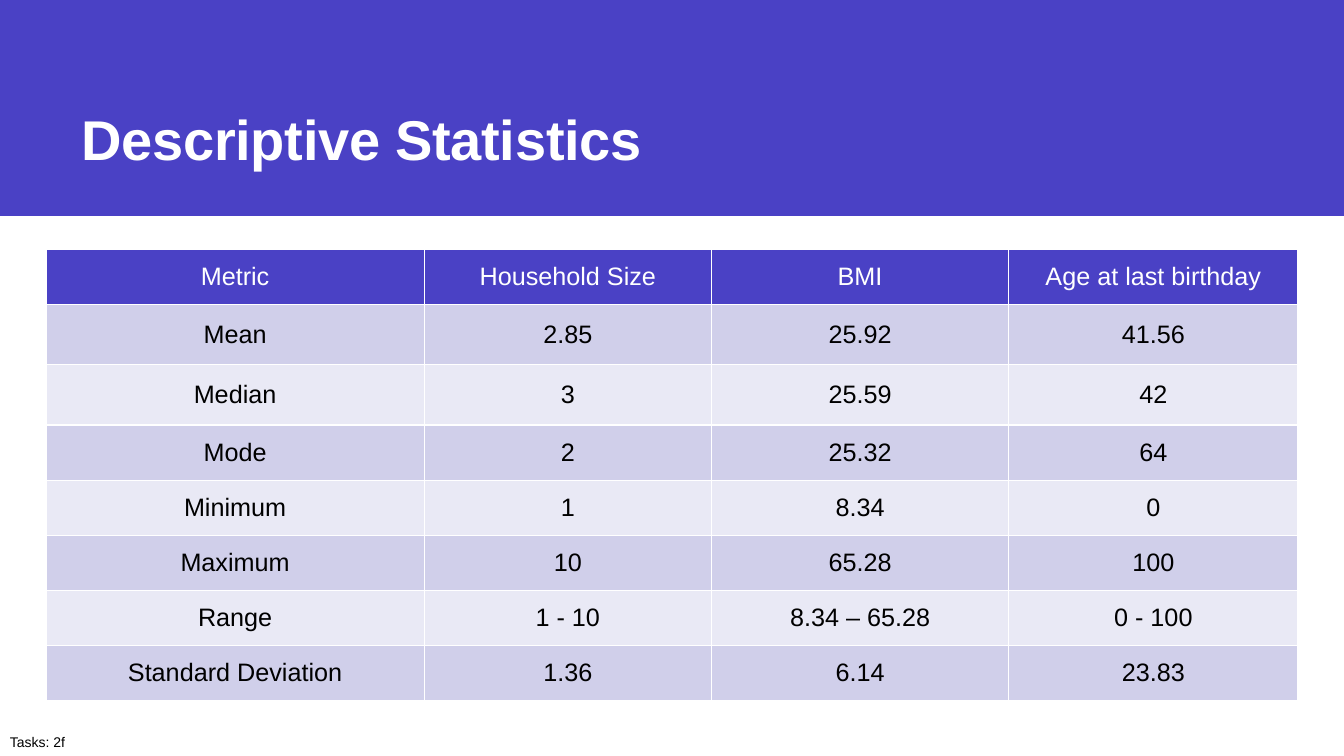
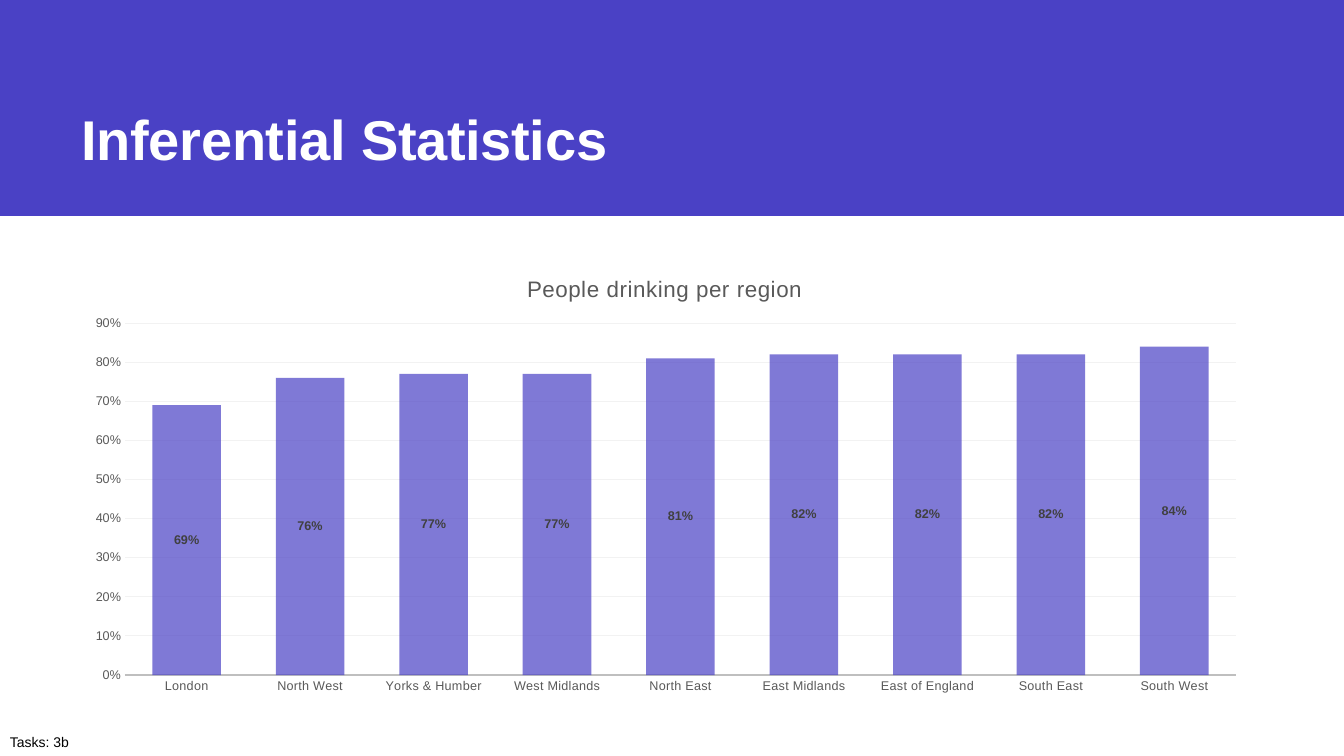
from dataclasses import dataclass

from pptx import Presentation, util as u
from pptx.chart import data as cd
from pptx.dml import color
from pptx.enum import chart as ch, shapes, text
from pptx.oxml import parse_xml
from pptx.oxml.ns import nsdecls, qn

Cm, Pt, RGB = u.Cm, u.Pt, color.RGBColor.from_string


@dataclass(frozen=True)
class Theme:
    font: str = "Arial"
    accent: str = "4A41C5"
    white: str = "FFFFFF"
    black: str = "000000"
    row_dark: str = "D0CFEA"
    row_light: str = "E9E9F5"
    label: str = "404040"
    grey: str = "595959"
    axis: str = "BFBFBF"
    grid: str = "F2F2F2"
    title_size: int = 40
    table_size: int = 18
    chart_title_size: int = 16
    note_size: int = 10
    axis_size: int = 9


T = Theme()


def style(font, size, rgb, bold=False):
    font.name, font.size, font.bold = T.font, Pt(size), bold
    font.color.rgb = RGB(rgb)


def place(parent, index, **box):
    """Give a chart part a fixed place, as fractions of the chart."""
    for old in parent.findall(qn("c:layout")):
        parent.remove(old)
    modes = "".join(f'<c:{k}Mode val="edge"/>' for k in "xy")
    sizes = "".join(f'<c:{k} val="{v}"/>' for k, v in box.items())
    target = '<c:layoutTarget val="inner"/>' if "w" in box else ""
    parent.insert(index, parse_xml(
        f'<c:layout {nsdecls("c")}><c:manualLayout>{target}{modes}{sizes}'
        "</c:manualLayout></c:layout>"))


prs = Presentation()
prs.slide_width, prs.slide_height = Cm(33.87), Cm(19.05)
layout = prs.slide_layouts[5]

# Layout: title place
holder = layout.placeholders[0]
holder.left, holder.top, holder.width, holder.height = Cm(1.8), Cm(1.02), Cm(29.95), Cm(3.43)

# Slides: title and task note
slides = []
for title, note in (
    ("Descriptive Statistics", "Tasks: 2f"),
    ("Inferential Statistics", "Tasks: 3b"),
):
    s = prs.slides.add_slide(layout)
    tf = s.shapes.title.text_frame
    tf.text = title
    tf.vertical_anchor = text.MSO_ANCHOR.BOTTOM
    tf.auto_size = text.MSO_AUTO_SIZE.NONE
    p = tf.paragraphs[0]
    p.alignment = text.PP_ALIGN.LEFT
    style(p.runs[0].font, T.title_size, T.white, True)
    s.shapes.title.element.xpath(".//a:rPr")[0].set("spc", "-20")

    tf = s.shapes.add_textbox(0, Cm(18.37), Cm(2), Cm(0.68)).text_frame
    tf.text = note
    tf.word_wrap = False
    tf.auto_size = text.MSO_AUTO_SIZE.SHAPE_TO_FIT_TEXT
    p = tf.paragraphs[0]
    p.alignment = text.PP_ALIGN.LEFT
    style(p.runs[0].font, T.note_size, T.black)
    slides.append(s)

stats_slide, regions_slide = slides

# Layout: title band, drawn once and moved behind the layout's title
band = stats_slide.shapes.add_shape(
    shapes.MSO_SHAPE.RECTANGLE, 0, 0, prs.slide_width, Cm(5.44))
band.shadow.inherit = False
band.fill.solid()
band.fill.fore_color.rgb = RGB(T.accent)
band.line.fill.background()
band.element.xpath(".//p:cNvPr")[0].set("id", "20")
holder.element.addprevious(band.element)

# Slide 1: statistics table
rows = [
    ("Metric", "Household Size", "BMI", "Age at last birthday"),
    ("Mean", "2.85", "25.92", "41.56"),
    ("Median", "3", "25.59", "42"),
    ("Mode", "2", "25.32", "64"),
    ("Minimum", "1", "8.34", "0"),
    ("Maximum", "10", "65.28", "100"),
    ("Range", "1 - 10", "8.34 – 65.28", "0 - 100"),
    ("Standard Deviation", "1.36", "6.14", "23.83"),
]
col_widths = (9.53, 7.24, 7.49, 7.29)
row_heights = [1.52 if row[0] in ("Mean", "Median") else 1.39 for row in rows]
frame = stats_slide.shapes.add_table(
    len(rows), len(col_widths), Cm(1.16), Cm(6.28),
    Cm(sum(col_widths)), Cm(sum(row_heights)))
table = frame.table
for col, width in zip(table.columns, col_widths):
    col.width = Cm(width)
for i, values in enumerate(rows):
    table.rows[i].height = Cm(row_heights[i])
    fill = T.accent if i == 0 else T.row_dark if i % 2 else T.row_light
    for j, value in enumerate(values):
        cell = table.cell(i, j)
        cell.text = value
        cell.vertical_anchor = text.MSO_ANCHOR.MIDDLE
        cell.fill.solid()
        cell.fill.fore_color.rgb = RGB(fill)
        p = cell.text_frame.paragraphs[0]
        p.alignment = text.PP_ALIGN.CENTER
        style(p.runs[0].font, T.table_size, T.black if i else T.white)
for tc_pr in frame.element.xpath(".//a:tcPr"):
    for k, side in enumerate("LRTB"):
        tc_pr.insert(k, parse_xml(
            f'<a:ln{side} {nsdecls("a")} w="12700"><a:solidFill>'
            f'<a:srgbClr val="{T.white}"/></a:solidFill></a:ln{side}>'))

# Slide 2: column chart
data = cd.CategoryChartData(number_format="0%")
data.categories = [
    "London", "North West", "Yorks & Humber", "West Midlands", "North East",
    "East Midlands", "East of England", "South East", "South West"]
data.add_series("Series 1", (0.69, 0.76, 0.77, 0.77, 0.81, 0.82, 0.82, 0.82, 0.84))
chart = regions_slide.shapes.add_chart(
    ch.XL_CHART_TYPE.COLUMN_CLUSTERED, Cm(1.8), Cm(6.53), Cm(29.95), Cm(11.2), data).chart
style(chart.font, T.note_size, T.black)
chart.has_legend = False

# Chart title
tf = chart.chart_title.text_frame
tf.text = "People drinking per region"
style(tf.paragraphs[0].runs[0].font, T.chart_title_size, T.grey)
chart.element.xpath(".//c:title//a:r/a:rPr")[0].set("spc", "50")
place(chart.chart_title.element, 1, x=0.38, y=0.026)
place(chart.element.xpath(".//c:plotArea")[0], 0, x=0.045, y=0.144, w=0.935, h=0.792)

# Axes
cat, val = chart.category_axis, chart.value_axis
for axis in (cat, val):
    axis.major_tick_mark = axis.minor_tick_mark = ch.XL_TICK_MARK.NONE
    style(axis.tick_labels.font, T.axis_size, T.grey)
chart.element.xpath(".//c:catAx/c:txPr//a:defRPr")[0].set("spc", "20")
cat.format.line.color.rgb = RGB(T.axis)
cat.format.line.width = Pt(1.25)
val.format.line.fill.background()
val.minimum_scale, val.maximum_scale, val.major_unit = 0, 0.9, 0.1
val.tick_labels.number_format = "0%"
val.tick_labels.number_format_is_linked = False
val.has_major_gridlines = True
val.major_gridlines.format.line.color.rgb = RGB(T.grid)
val.major_gridlines.format.line.width = Pt(0.75)

# Columns and their labels
plot = chart.plots[0]
plot.vary_by_categories = False
plot.gap_width, plot.overlap = 80, 25
series = plot.series[0]
series.invert_if_negative = False
series.format.fill.solid()
series.format.fill.fore_color.rgb = RGB(T.accent)
chart.element.xpath(".//c:ser/c:spPr/a:solidFill/a:srgbClr")[0].append(
    parse_xml(f'<a:alpha {nsdecls("a")} val="70000"/>'))
labels = series.data_labels
labels.show_value = True
labels.position = ch.XL_LABEL_POSITION.CENTER
labels.number_format = "0%"
labels.number_format_is_linked = False
style(labels.font, T.axis_size, T.label, True)

prs.save("out.pptx")
